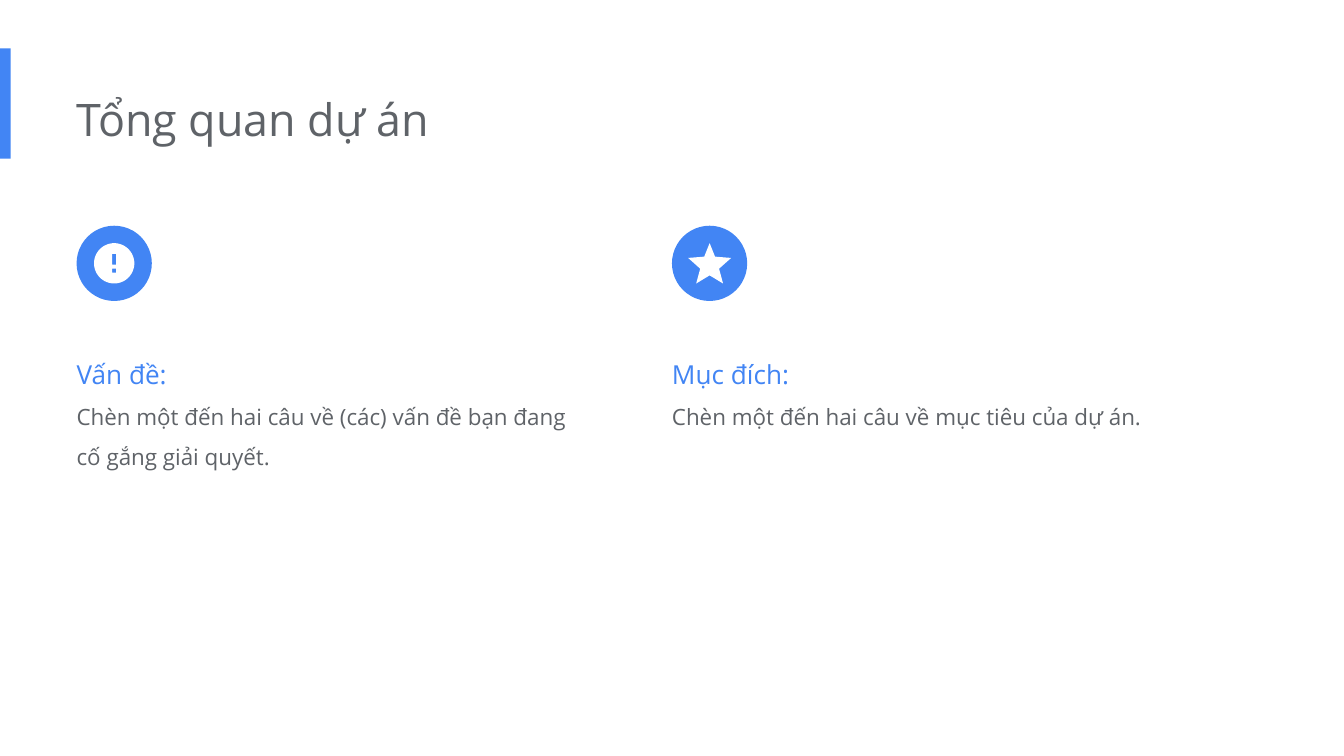
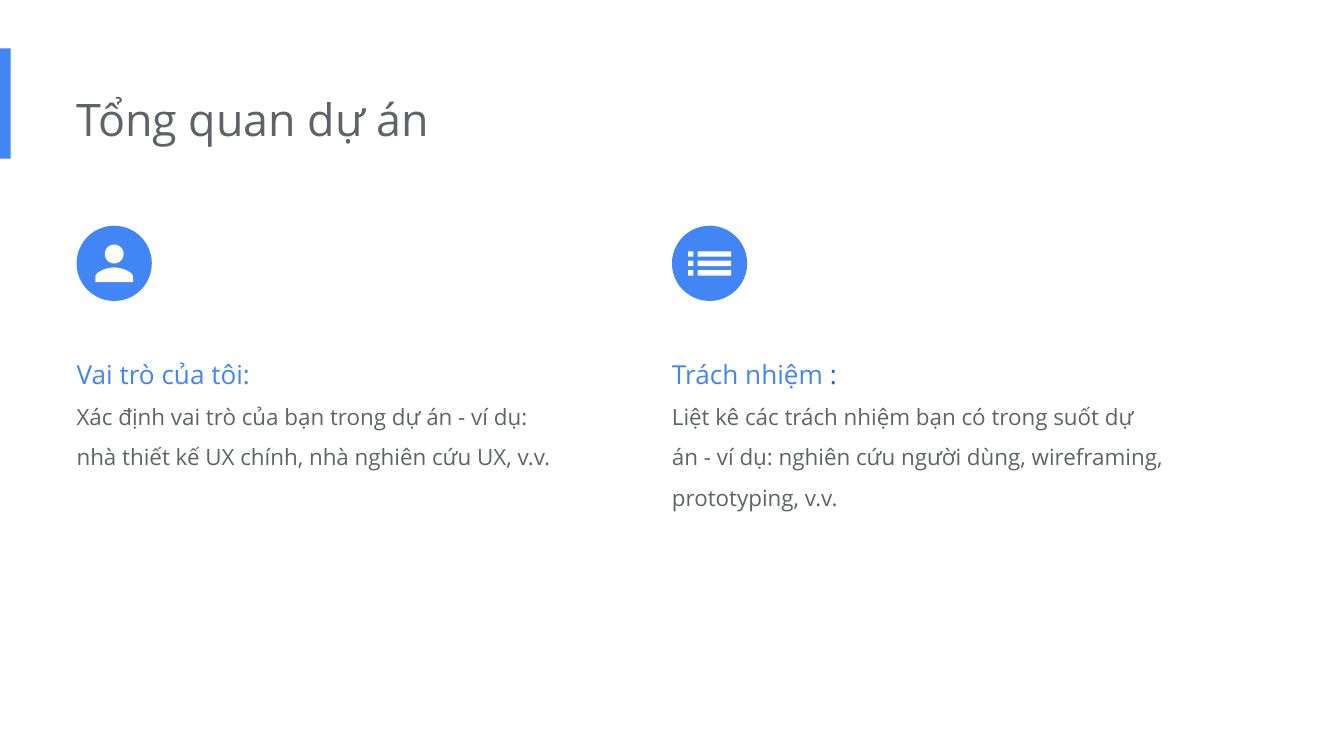
"""Build two project overview slides with icon columns."""
from dataclasses import dataclass
from math import cos, pi, sin

from pptx import Presentation
from pptx.dml.color import RGBColor
from pptx.enum.shapes import MSO_SHAPE
from pptx.enum.text import MSO_ANCHOR, MSO_AUTO_SIZE
from pptx.util import Inches, Pt

RECT, OVAL = MSO_SHAPE.RECTANGLE, MSO_SHAPE.OVAL
TOP, GROW = MSO_ANCHOR.TOP, MSO_AUTO_SIZE.SHAPE_TO_FIT_TEXT

Point = tuple[float, float]
Contour = list[Point]
Icon = list[Contour]


@dataclass(frozen=True)
class Theme:
    font: str = "Open Sans"
    blue: str = "4285F4"
    deep_blue: str = "1967D2"
    gray: str = "5F6368"
    white: str = "FFFFFF"
    title_size: int = 24
    heading_size: int = 14
    body_size: int = 12
    line_spacing: float = 1.5


THEME = Theme()
SLIDE_WIDTH = Inches(10)
SLIDE_HEIGHT = SLIDE_WIDTH * 9 // 16
LEFT, RIGHT = 0.57, 5.0
BADGE_TOP, BADGE_SIZE = 1.68, 0.56


@dataclass(frozen=True)
class Run:
    text: str
    size: int
    color: str


@dataclass(frozen=True)
class Box:
    left: float
    top: float
    width: float
    height: float

    def lengths(self) -> list[Inches]:
        return [Inches(v) for v in (self.left, self.top, self.width, self.height)]


@dataclass(frozen=True)
class Column:
    left: float
    icon: Icon
    heading: list[Run]
    body: str
    height: float = 1.06


def heading(text: str, color: str = THEME.blue) -> Run:
    return Run(text, THEME.heading_size, color)


def rect(x: float, y: float, w: float, h: float) -> Contour:
    return [(x, y), (x + w, y), (x + w, y + h), (x, y + h)]


def circle(y: float, radius: float, steps: int = 64) -> Contour:
    angles = [-2 * pi * i / steps for i in range(steps)]
    return [(radius * cos(a), y + radius * sin(a)) for a in angles]


def curve(a: Point, b: Point, c: Point, d: Point, steps: int = 16) -> Contour:
    ts = [i / steps for i in range(steps + 1)]
    return [
        tuple(
            (1 - t) ** 3 * a[k] + 3 * (1 - t) ** 2 * t * b[k]
            + 3 * (1 - t) * t ** 2 * c[k] + t ** 3 * d[k]
            for k in (0, 1)
        )
        for t in ts
    ]


def mirrored(half: Contour) -> Contour:
    return half + [(-x, y) for x, y in reversed(half)]


def alert_icon() -> Icon:
    width = 0.03
    return [circle(0, 0.15), rect(-width / 2, -0.07, width, 0.08),
            rect(-width / 2, 0.04, width, 0.03)]


def star_icon() -> Icon:
    half = [(0, -0.15), (0.04, -0.05), (0.16, -0.04), (0.07, 0.04), (0.1, 0.15), (0, 0.09)]
    return [mirrored(half)]


def person_icon() -> Icon:
    shoulder = curve((0, 0.03), (0.05, 0.03), (0.14, 0.06), (0.14, 0.1))
    return [circle(-0.07, 0.07), mirrored(shoulder + [(0.14, 0.14)])]


def list_icon() -> Icon:
    tops = [-0.09 + 0.07 * row for row in range(3)]
    return [rect(x, y, w, 0.04) for y in tops for x, w in ((-0.16, 0.04), (-0.09, 0.25))]


def paint(sp, color: str) -> None:
    sp.shadow.inherit = False
    sp.fill.solid()
    sp.fill.fore_color.rgb = RGBColor.from_string(color)
    sp.line.fill.background()


def add_preset(s, kind, box: Box, color: str) -> None:
    paint(s.shapes.add_shape(kind, *box.lengths()), color)


def add_icon(s, icon: Icon, cx: float, cy: float) -> None:
    contours = [[(Inches(cx + x), Inches(cy + y)) for x, y in c] for c in icon]
    builder = s.shapes.build_freeform(*contours[0][0])
    for i, points in enumerate(contours):
        if i:
            builder.move_to(*points[0])
        builder.add_line_segments(points[1:], close=True)
    paint(builder.convert_to_shape(), THEME.white)


def add_text(s, box: Box, paragraphs: list[list[Run]], spacing: float = 1.0) -> None:
    tf = s.shapes.add_textbox(*box.lengths()).text_frame
    frame = {"word_wrap": True, "auto_size": GROW, "vertical_anchor": TOP, "margin_left": 0,
             "margin_top": Inches(0.1), "margin_right": Inches(0.1),
             "margin_bottom": Inches(0.1)}
    for name, value in frame.items():
        setattr(tf, name, value)
    for i, runs in enumerate(paragraphs):
        p = tf.add_paragraph() if i else tf.paragraphs[0]
        p.line_spacing = spacing
        for run in runs:
            r = p.add_run()
            r.text = run.text
            for name, value in {"name": THEME.font, "size": Pt(run.size)}.items():
                setattr(r.font, name, value)
            r.font.color.rgb = RGBColor.from_string(run.color)


def add_column(s, column: Column) -> None:
    body = Run(column.body, THEME.body_size, THEME.gray)
    add_text(s, Box(column.left, 2.45, 3.77, column.height),
             [column.heading, [body]], THEME.line_spacing)
    add_preset(s, OVAL, Box(column.left, BADGE_TOP, BADGE_SIZE, BADGE_SIZE), THEME.blue)
    add_icon(s, column.icon, column.left + BADGE_SIZE / 2, BADGE_TOP + BADGE_SIZE / 2)


def add_overview(prs, columns: list[Column]) -> None:
    s = prs.slides.add_slide(prs.slide_layouts[6])
    s.background.fill.solid()
    s.background.fill.fore_color.rgb = RGBColor.from_string(THEME.white)
    add_preset(s, RECT, Box(0, 0.36, 0.08, 0.82), THEME.blue)
    title = Run("Tổng quan dự án", THEME.title_size, THEME.gray)
    add_text(s, Box(LEFT, 0.58, 6.73, 0.61), [[title]])
    for column in columns:
        add_column(s, column)


SLIDES = [
    [
        Column(LEFT, alert_icon(), [heading("Vấn đề:")],
               "Chèn một đến hai câu về (các) vấn đề bạn đang cố gắng giải quyết."),
        Column(RIGHT, star_icon(), [heading("Mục đích:")],
               "Chèn một đến hai câu về mục tiêu của dự án."),
    ],
    [
        Column(LEFT, person_icon(), [heading("Vai trò của tôi:")],
               "Xác định vai trò của bạn trong dự án - ví dụ: "
               "nhà thiết kế UX chính, nhà nghiên cứu UX, v.v."),
        Column(RIGHT, list_icon(), [heading("Trách nhiệm "), heading(":", THEME.deep_blue)],
               "Liệt kê các trách nhiệm bạn có trong suốt dự án - ví dụ: "
               "nghiên cứu người dùng, wireframing, prototyping, v.v.", 1.46),
    ],
]


def main() -> None:
    prs = Presentation()
    for name, value in {"slide_width": SLIDE_WIDTH, "slide_height": SLIDE_HEIGHT}.items():
        setattr(prs, name, value)
    for columns in SLIDES:
        add_overview(prs, columns)
    prs.save("out.pptx")


if __name__ == "__main__":
    main()
